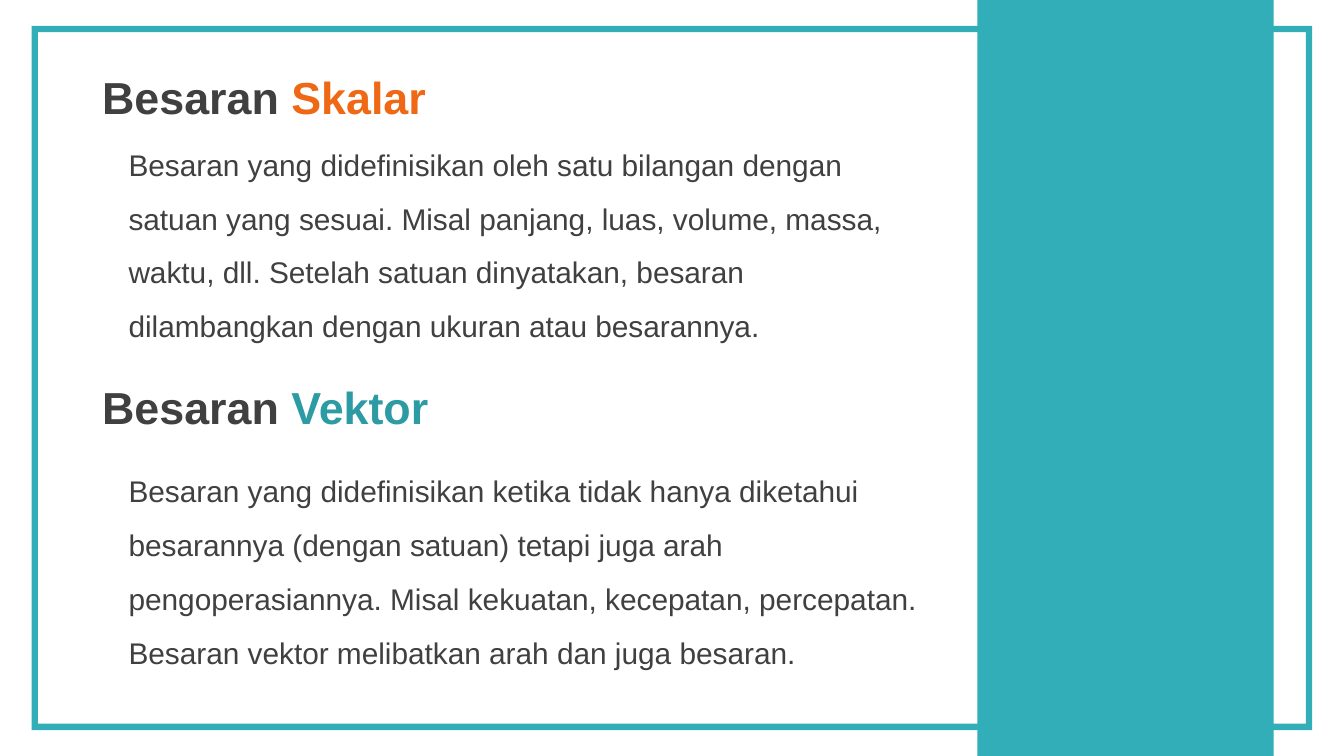
from pptx import Presentation
from pptx.dml.color import RGBColor
from pptx.enum import shapes, text
from pptx.util import Cm, Pt

HUES = {"teal": "32AEB8", "deep": "2C9BA4", "orange": "EE6816", "gray": "404040"}
FONT = "Arial"

# term, term colour, heading top, body top, body text
TOPICS = [
    ("Skalar", "orange", 1.19, 2.31,
     "Besaran yang didefinisikan oleh satu bilangan dengan satuan yang sesuai. "
     "Misal panjang, luas, volume, massa, waktu, dll. Setelah satuan dinyatakan, "
     "besaran dilambangkan dengan ukuran atau besarannya."),
    ("Vektor", "deep", 7.06, 8.48,
     "Besaran yang didefinisikan ketika tidak hanya diketahui besarannya "
     "(dengan satuan) tetapi juga arah pengoperasiannya. Misal kekuatan, "
     "kecepatan, percepatan. Besaran vektor melibatkan arah dan juga besaran."),
]
WIDE, HIGH = 25.4, 14.29
TEXT_W = 15.8


def add_block(slide, kind, left, top, width, height):
    """Add a plain teal shape and return it."""
    block = slide.shapes.add_shape(kind, Cm(left), Cm(top), Cm(width), Cm(height))
    block.shadow.inherit = False
    block.fill.solid()
    block.fill.fore_color.rgb = RGBColor.from_string(HUES["teal"])
    block.line.fill.background()
    return block


def add_words(slide, left, top, height, parts, size, bold=False, space=None):
    """Add a text box with one paragraph of (words, colour) parts."""
    box = slide.shapes.add_textbox(Cm(left), Cm(top), Cm(TEXT_W), Cm(height))
    frame = box.text_frame
    frame.word_wrap = True
    frame.auto_size = text.MSO_AUTO_SIZE.SHAPE_TO_FIT_TEXT
    para = frame.paragraphs[0]
    if space:
        para.line_spacing = space
    for words, hue in parts:
        run = para.add_run()
        run.text = words
        run.font.name = FONT
        run.font.size = Pt(size)
        run.font.bold = bold
        run.font.color.rgb = RGBColor.from_string(HUES[hue])


deck = Presentation()
deck.slide_width, deck.slide_height = Cm(WIDE), Cm(HIGH)
slide = deck.slides.add_slide(deck.slide_layouts[6])

border = add_block(slide, shapes.MSO_SHAPE.FRAME, 0.6, 0.49, 24.2, 13.31)
border.adjustments[0] = 0.009
add_block(slide, shapes.MSO_SHAPE.RECTANGLE, 18.47, 0, 5.6, HIGH)

for term, hue, head_top, body_top, body in TOPICS:
    add_words(slide, 1.68, head_top, 1.28,
              [("Besaran ", "gray"), (term, hue)], 24, bold=True)
    add_words(slide, 2.18, body_top, 4.24, [(body, "gray")], 16, space=1.5)

deck.save("out.pptx")
